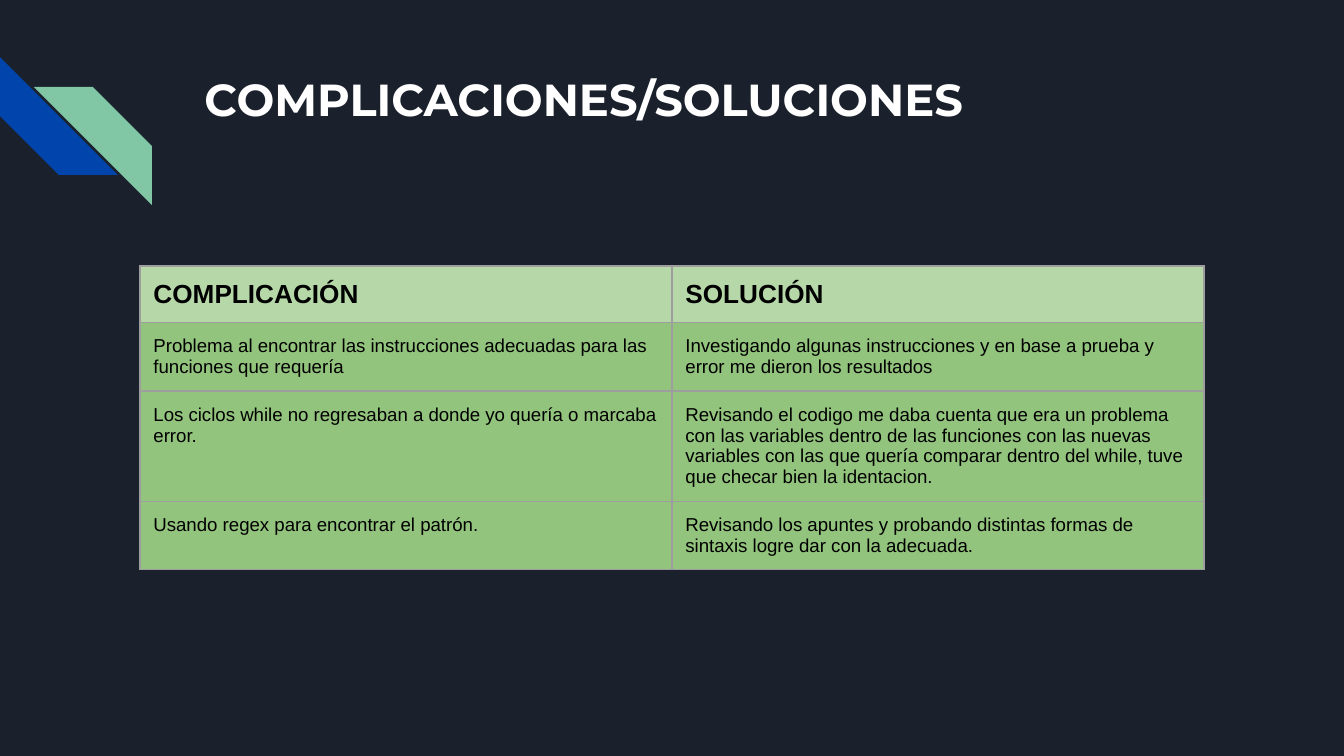
from lxml import etree
from pptx import Presentation
from pptx.dml.color import RGBColor
from pptx.enum.shapes import MSO_SHAPE
from pptx.enum.text import MSO_ANCHOR, MSO_AUTO_SIZE, PP_ALIGN
from pptx.oxml.ns import qn
from pptx.util import Emu, Pt

STRIPE = MSO_SHAPE.DIAGONAL_STRIPE
LEFT, TOP = PP_ALIGN.LEFT, MSO_ANCHOR.TOP
NO_AUTOFIT = MSO_AUTO_SIZE.NONE
TITLE_ONLY = 5

TITLE = "COMPLICACIONES/SOLUCIONES"
ROWS = [
    ("COMPLICACIÓN", "SOLUCIÓN"),
    ("Problema al encontrar las instrucciones adecuadas para las funciones que requería",
     "Investigando algunas instrucciones y en base a prueba y error me dieron los resultados"),
    ("Los ciclos while no regresaban a donde yo quería o marcaba error.",
     "Revisando el codigo me daba cuenta que era un problema con las variables dentro de las "
     "funciones con las nuevas variables con las que quería comparar dentro del while, tuve "
     "que checar bien la identacion."),
    ("Usando regex para encontrar el patrón.",
     "Revisando los apuntes y probando distintas formas de sintaxis logre dar con la adecuada."),
]
THEME = {
    "background": "1B212C", "blue": "0145AC", "green": "82C7A5",
    "title": "FFFFFF", "text": "000000", "border": "9E9E9E",
    "header_fill": "B6D7A8", "body_fill": "93C47D",
    "title_font": "Montserrat", "table_font": "Arial",
    "title_size": 24, "header_size": 14, "body_size": 10, "border_width": 0.75,
}
SLIDE_SIZE = (1344, 756)
TITLE_BOX = (191, 58, 1035, 134)
STRIPE_SIZE = 118
TABLE_LEFT, TABLE_TOP = 140, 266
COLUMN_WIDTH, ROW_HEIGHT = 532, 56  # rows grow with their text
INSET = Pt(7.2)


def px(length):
    return Emu(round(length * 914400 / 134.4))


def color(name):
    return RGBColor.from_string(THEME[name])


def set_text(text_frame, text, font_name, size, color_name, bold):
    text_frame.text = text
    paragraph = text_frame.paragraphs[0]
    paragraph.alignment = LEFT
    font = paragraph.runs[0].font
    font.name, font.size, font.bold = font_name, Pt(size), bold
    font.color.rgb = color(color_name)


def add_stripe(slide, left, top, color_name):
    shape = slide.shapes.add_shape(STRIPE, px(left), px(top), px(STRIPE_SIZE), px(STRIPE_SIZE))
    shape.shadow.inherit = False
    shape.fill.solid()
    shape.fill.fore_color.rgb = color(color_name)
    shape.line.fill.background()
    return shape


def add_title(slide):
    title = slide.shapes.title
    title.left, title.top, title.width, title.height = map(px, TITLE_BOX)
    frame = title.text_frame
    frame.word_wrap, frame.auto_size, frame.vertical_anchor = True, NO_AUTOFIT, TOP
    frame.margin_left = frame.margin_right = frame.margin_top = frame.margin_bottom = INSET
    set_text(frame, TITLE, THEME["title_font"], THEME["title_size"], "title", True)


def add_borders(cell):
    properties = cell._tc.get_or_add_tcPr()
    for index, side in enumerate(("lnL", "lnR", "lnT", "lnB")):
        line = etree.Element(qn("a:" + side), w=str(Pt(THEME["border_width"])))
        fill = etree.SubElement(line, qn("a:solidFill"))
        etree.SubElement(fill, qn("a:srgbClr"), val=THEME["border"])
        properties.insert(index, line)


def add_table(slide):
    columns = len(ROWS[0])
    table = slide.shapes.add_table(
        len(ROWS), columns, px(TABLE_LEFT), px(TABLE_TOP),
        px(columns * COLUMN_WIDTH), px(len(ROWS) * ROW_HEIGHT)).table
    table.first_row = table.horz_banding = False
    for row_index, texts in enumerate(ROWS):
        kind = "body" if row_index else "header"
        for column_index, text in enumerate(texts):
            cell = table.cell(row_index, column_index)
            cell.margin_left = cell.margin_right = cell.margin_top = cell.margin_bottom = INSET
            cell.vertical_anchor = TOP
            cell.fill.solid()
            cell.fill.fore_color.rgb = color(kind + "_fill")
            add_borders(cell)
            set_text(cell.text_frame, text, THEME["table_font"], THEME[kind + "_size"],
                     "text", kind == "header")


def main():
    presentation = Presentation()
    presentation.slide_width, presentation.slide_height = map(px, SLIDE_SIZE)
    slide = presentation.slides.add_slide(presentation.slide_layouts[TITLE_ONLY])
    slide.background.fill.solid()
    slide.background.fill.fore_color.rgb = color("background")
    add_stripe(slide, 0, 57, "blue").rotation = 270
    green_stripe = add_stripe(slide, 34, 87, "green")
    green_stripe._element.spPr.find(qn("a:xfrm")).set("flipH", "1")
    add_title(slide)
    add_table(slide)
    presentation.save("out.pptx")


if __name__ == "__main__":
    main()
